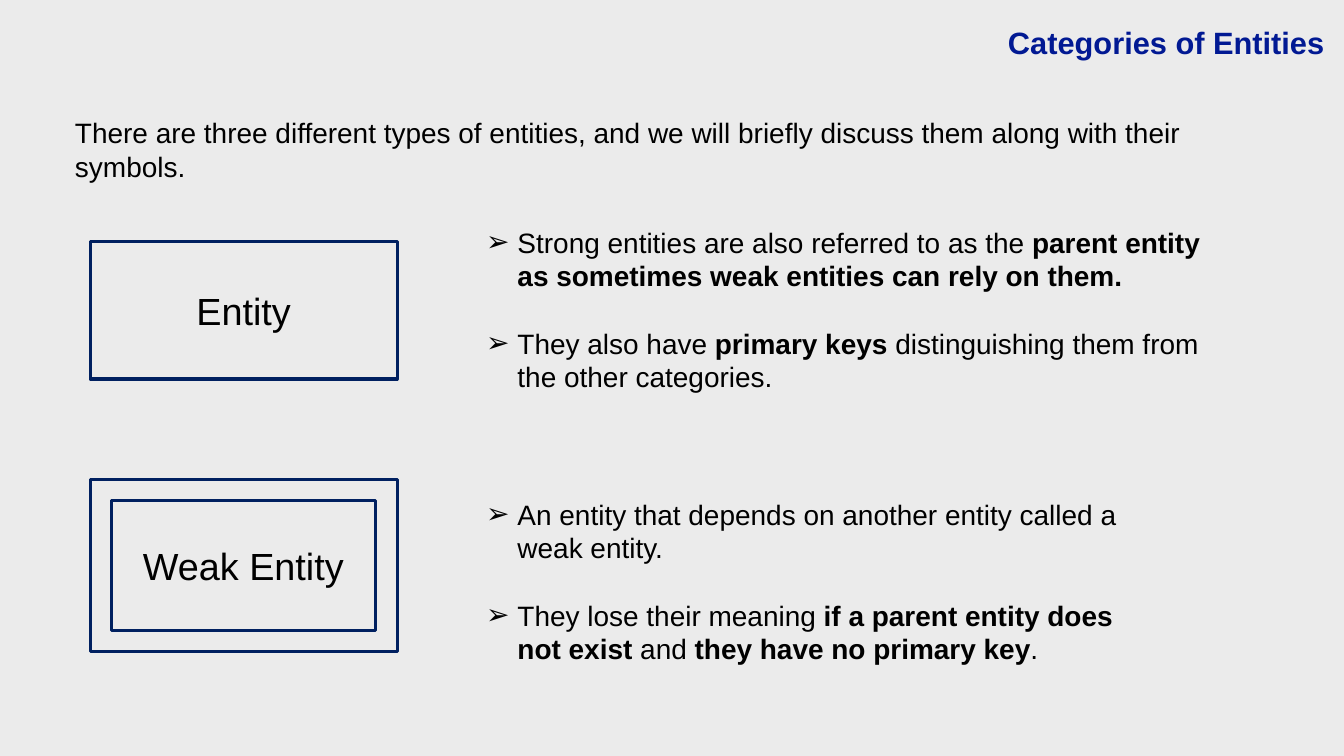
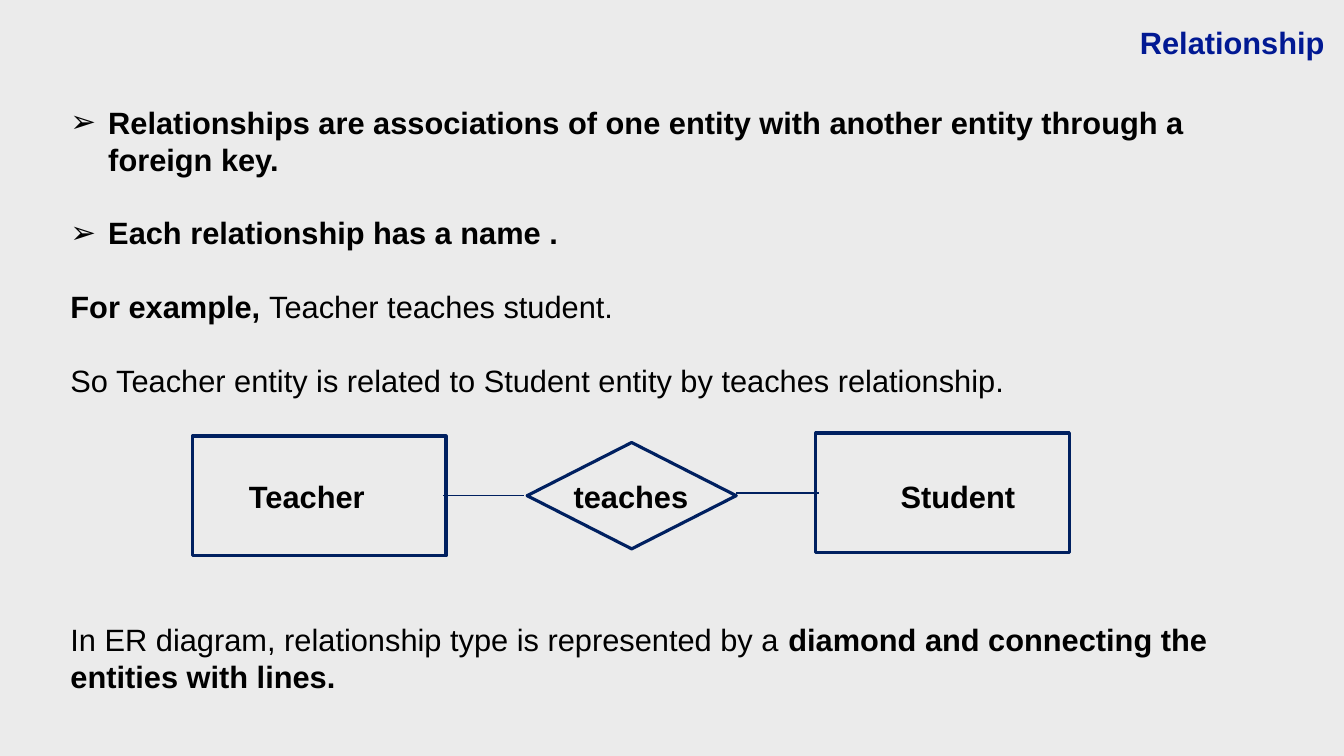
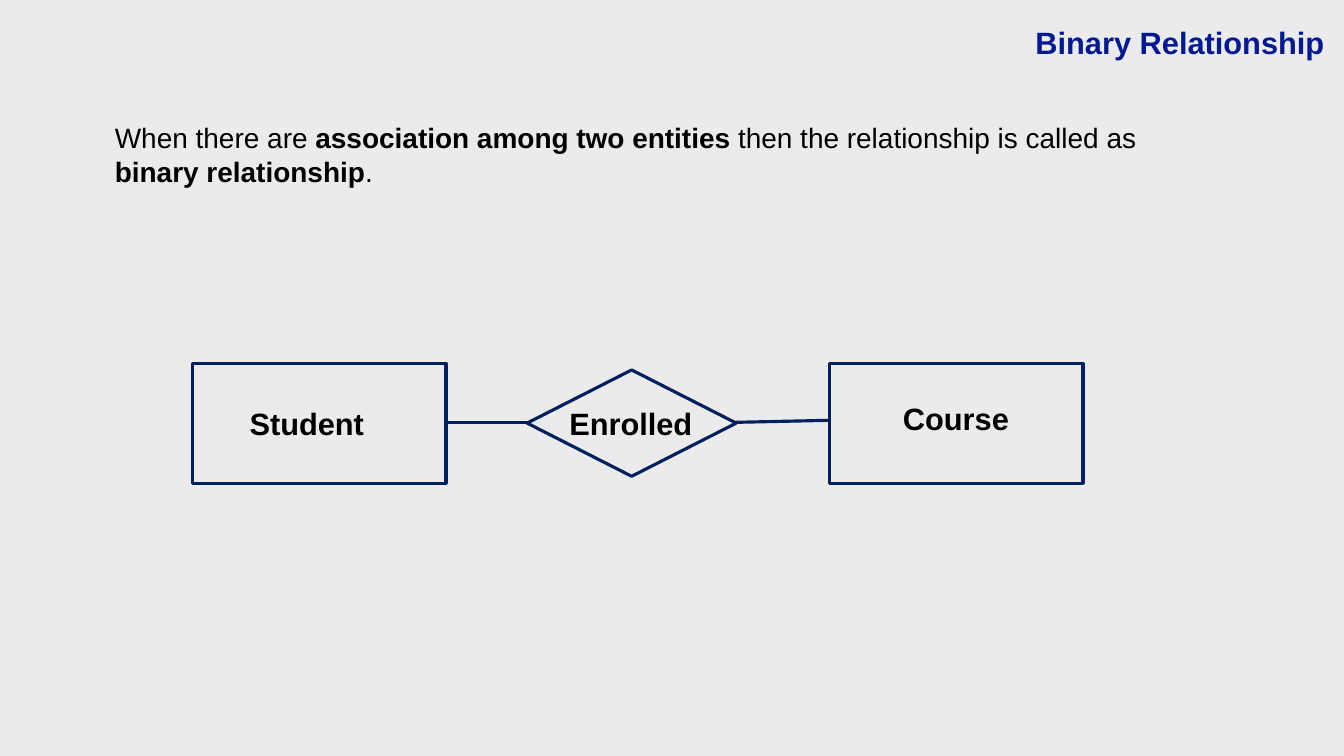
from lxml import etree
from pptx import Presentation
from pptx.dml.color import RGBColor
from pptx.enum import shapes, text
from pptx.oxml.ns import qn
from pptx.util import Inches, Pt

BACKGROUND = RGBColor(0xEB, 0xEB, 0xEB)
TITLE_BLUE = RGBColor(0x01, 0x19, 0x93)
NAVY = RGBColor(0x00, 0x20, 0x60)
BLACK = RGBColor(0, 0, 0)
FONT = "Arial"
LEADING = 1.2
OUTLINE = 4.5
TITLE_BOX = (9.73, 0.41, 16.62, 1.59)
KINDS = shapes.MSO_SHAPE
LEFT, CENTER, RIGHT = text.PP_ALIGN.LEFT, text.PP_ALIGN.CENTER, text.PP_ALIGN.RIGHT

# Content: *...* is bold; a paragraph is (text, blank lines before it, bulleted)
ENTITY_INTRO = [("There are three different types of entities, and we will briefly "
                 "discuss them along with their symbols.", 0, False)]
STRONG_ENTITY = [
    ("Strong entities are also referred to as the *parent entity as sometimes "
     "weak entities can rely on them.*", 0, True),
    ("They also have *primary keys *distinguishing them from the other categories.", 1, True),
]
WEAK_ENTITY = [
    ("An entity that depends on another entity called a weak entity.", 0, True),
    ("They lose their meaning *if a parent entity does not exist* and "
     "*they have no primary key*.", 1, True),
]
RELATIONSHIP = [
    ("*Relationships are associations of one entity with another entity through "
     "a foreign key.*", 0, True),
    ("*Each relationship has a name .*", 1, True),
    ("*For example, *Teacher teaches student.", 1, False),
    ("So Teacher entity is related to Student entity by teaches relationship.", 1, False),
    ("In ER diagram, relationship type is represented by a *diamond and connecting "
     "the entities with lines.*", 6, False),
]
BINARY = [("When there are *association among two entities* then the relationship "
           "is called as *binary relationship*.", 0, False)]

# ER diagrams: (label, shape left, shape top, label left, label top) and line ends
TEACHES = {
    "entities": [("Teacher", 3.82, 8.65, 4.26, 9.41), ("Student", 16.19, 8.59, 17.18, 9.41)],
    "relation": ("teaches", 10.46, 8.78, 10.69, 9.41),
    "links": [(8.8, 9.83, 10.4, 9.83), (14.61, 9.78, 16.26, 9.78)],
    "link_width": 2,
}
ENROLLED = {
    "entities": [("Student", 3.82, 7.21, 4.26, 7.97), ("Course", 16.46, 7.21, 17.14, 7.88)],
    "relation": ("Enrolled", 10.46, 7.34, 10.69, 7.97),
    "links": [(8.85, 8.39, 10.46, 8.39), (14.58, 8.38, 16.45, 8.34)],
    "link_width": OUTLINE,
}


def add_bullet(paragraph, indent):
    properties = paragraph._p.get_or_add_pPr()
    properties.set("marL", str(Inches(indent)))
    properties.set("indent", str(-Inches(indent)))
    etree.SubElement(properties, qn("a:buFont")).set("typeface", FONT)
    etree.SubElement(properties, qn("a:buChar")).set("char", "➢")


def write(frame, paragraphs, size, align=LEFT, color=BLACK, indent=0.62):
    frame.word_wrap = True
    frame.auto_size = text.MSO_AUTO_SIZE.NONE
    for number, (content, gap, bulleted) in enumerate(paragraphs):
        paragraph = frame.paragraphs[0] if number == 0 else frame.add_paragraph()
        paragraph.alignment = align
        paragraph.line_spacing = Pt(size * LEADING)
        paragraph.space_before = Pt(gap * size * LEADING)
        if bulleted:
            add_bullet(paragraph, indent)
        for part, words in enumerate(content.split("*")):
            if words:
                run = paragraph.add_run()
                run.text = words
                run.font.name, run.font.size = FONT, Pt(size)
                run.font.bold = part % 2 == 1
                run.font.color.rgb = color


def set_insets(frame, inset):
    frame.margin_left = frame.margin_right = Inches(inset)
    frame.margin_top = frame.margin_bottom = Inches(inset)


def add_body(slide, box, paragraphs, size=40, indent=0.62):
    body = slide.shapes.add_textbox(*map(Inches, box))
    write(body.text_frame, paragraphs, size, indent=indent)


def add_label(slide, box, content, size):
    frame = slide.shapes.add_textbox(*map(Inches, box)).text_frame
    set_insets(frame, 0.06)
    frame.vertical_anchor = text.MSO_ANCHOR.MIDDLE
    write(frame, [(content, 0, False)], size, CENTER)


def add_outline(slide, kind, box):
    outline = slide.shapes.add_shape(kind, *map(Inches, box))
    outline.shadow.inherit = False
    outline.fill.background()
    outline.line.color.rgb = NAVY
    outline.line.width = Pt(OUTLINE)
    return outline


def add_link(slide, ends, width):
    link = slide.shapes.add_connector(shapes.MSO_CONNECTOR.STRAIGHT, *map(Inches, ends))
    link.line.color.rgb = NAVY
    link.line.width = Pt(width)
    etree.SubElement(link._element.spPr, qn("a:effectLst"))


def add_diagram(slide, diagram):
    nodes = [(KINDS.FLOWCHART_PROCESS, (5.03, 2.38), node) for node in diagram["entities"]]
    nodes.append((KINDS.FLOWCHART_DECISION, (4.15, 2.11), diagram["relation"]))
    for kind, extent, (label, left, top, label_left, label_top) in nodes:
        add_outline(slide, kind, (left, top, *extent))
        add_label(slide, (label_left, label_top, 3.66, 0.85), f"*{label}*", 44)
    for ends in diagram["links"]:
        add_link(slide, ends, diagram["link_width"])


def add_titled_slide(deck, heading):
    slide = deck.slides.add_slide(deck.slide_layouts[5])
    title = slide.shapes.title
    title.left, title.top, title.width, title.height = map(Inches, TITLE_BOX)
    set_insets(title.text_frame, 0.06)
    title.text_frame.vertical_anchor = text.MSO_ANCHOR.TOP
    write(title.text_frame, [(f"*{heading}*", 0, False)], 44, RIGHT, TITLE_BLUE)
    return slide


def main():
    deck = Presentation()
    deck.slide_width, deck.slide_height = Inches(26.67), Inches(15)
    background = deck.slide_master.background.fill
    background.solid()
    background.fore_color.rgb = BACKGROUND

    # Categories of entities
    slide = add_titled_slide(deck, "Categories of Entities")
    add_body(slide, (1.39, 2.25, 23.36, 2.12), ENTITY_INTRO)
    entity = add_outline(slide, KINDS.RECTANGLE, (1.79, 4.79, 6.09, 2.73))
    set_insets(entity.text_frame, 0)
    entity.text_frame.vertical_anchor = text.MSO_ANCHOR.MIDDLE
    write(entity.text_frame, [("Entity", 0, False)], 54, CENTER)
    add_body(slide, (9.55, 4.42, 14.61, 3.47), STRONG_ENTITY)
    add_outline(slide, KINDS.FRAME, (1.79, 9.51, 6.09, 3.42))
    add_label(slide, (2.68, 10.71, 4.3, 1.02), "Weak Entity", 54)
    add_body(slide, (9.55, 9.82, 13.33, 3.47), WEAK_ENTITY)

    # Relationship
    slide = add_titled_slide(deck, "Relationship")
    add_body(slide, (1.3, 2, 24.16, 11.95), RELATIONSHIP, 44, 0.75)
    add_diagram(slide, TEACHES)

    # Binary relationship
    slide = add_titled_slide(deck, "Binary Relationship")
    add_body(slide, (2.18, 2.34, 21.79, 1.45), BINARY)
    add_diagram(slide, ENROLLED)

    deck.save("out.pptx")


if __name__ == "__main__":
    main()
